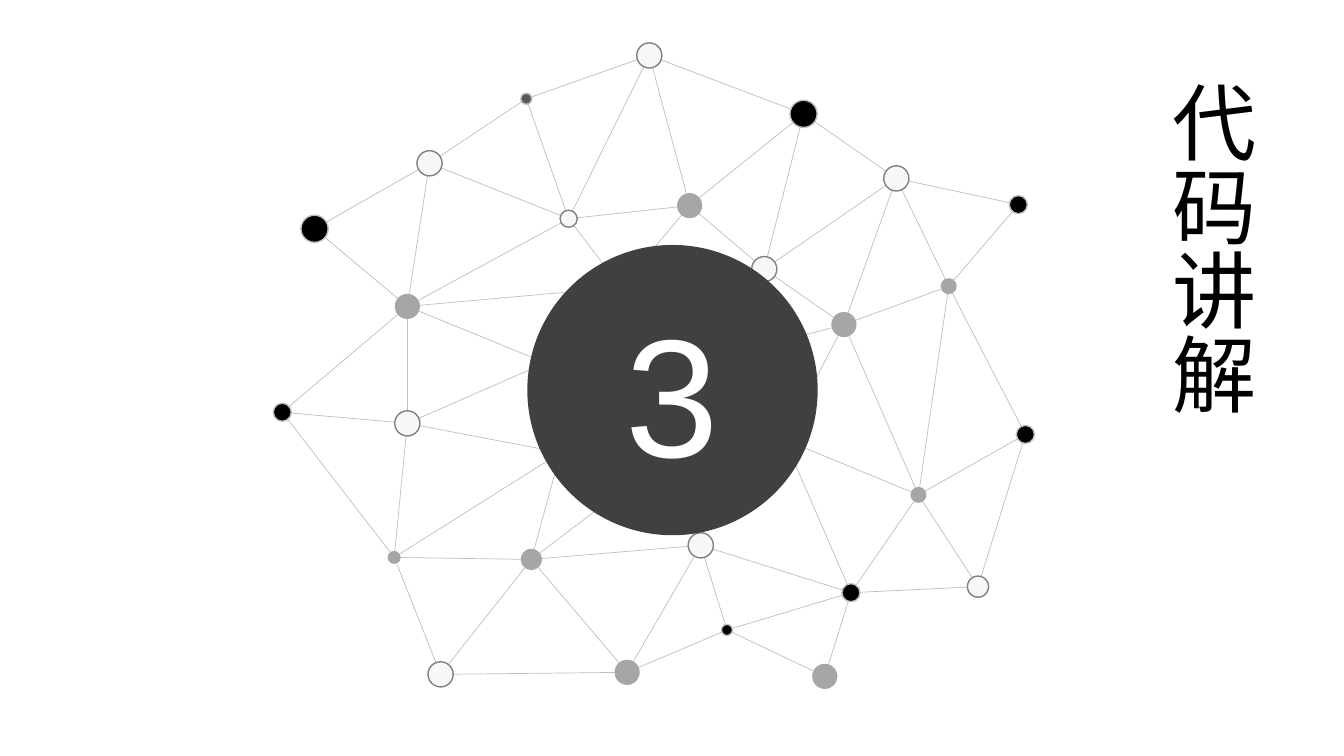
import math

import lxml.etree
import pptx
import pptx.dml.color
import pptx.enum.shapes
import pptx.enum.text
import pptx.oxml.ns
import pptx.util

PX = 9144
COLORS = {
    "black": "000000", "charcoal": "404040", "dark": "595959",
    "outline": "808080", "gray": "A6A6A6", "link": "BFBFBF",
    "pale": "F7F7F7", "white": "FFFFFF",
}


def color(name):
    return pptx.dml.color.RGBColor.from_string(COLORS[name])


def add_circle(center_x, center_y, size, fill, line=None):
    circle = page.shapes.add_shape(
        pptx.enum.shapes.MSO_SHAPE.OVAL,
        round((center_x - size / 2) * PX), round((center_y - size / 2) * PX),
        size * PX, size * PX)
    circle.shadow.inherit = False
    circle.fill.solid()
    circle.fill.fore_color.rgb = color(fill)
    if line:
        circle.line.color.rgb = color(line)
        circle.line.width = pptx.util.Pt(1)
    else:
        circle.line.fill.background()
    return circle


deck = pptx.Presentation()
deck.slide_width = 1333 * PX
deck.slide_height = 750 * PX
page = deck.slides.add_slide(deck.slide_layouts[6])

node_groups = [
    ("pale", "outline", 25, {
        "A": (404, 420), "B": (695, 541), "C": (644, 55), "E": (426, 162),
        "F": (758, 267), "G": (889, 177), "I": (437, 669)}),
    ("pale", "outline", 21, {"D": (970, 582)}),
    ("pale", "outline", 17, {"H": (564, 217)}),
    ("black", "link", 18, {
        "J": (280, 409), "K": (1017, 431), "N": (1010, 203), "O": (844, 588)}),
    ("black", "link", 27, {"L": (312, 227), "M": (797, 113)}),
    ("black", "link", 11, {"P": (721, 625)}),
    ("dark", "link", 11, {"Q": (522, 98)}),
    ("gray", None, 25, {
        "U": (684, 204), "V": (837, 322), "W": (404, 304), "Y": (818, 671),
        "Z": (622, 667)}),
    ("gray", None, 21, {"R": (527, 555)}),
    ("gray", None, 16, {"T": (911, 491), "X": (941, 284)}),
    ("gray", None, 13, {"S": (391, 553)}),
]
hub_anchors = {
    "a": (541, 360), "b": (556, 449), "c": (622, 483),
    "d": (680, 364), "e": (616, 285), "f": (778, 436),
}
links = (
    "JS SA Aa Rb TV SR cR XT KD DT LW EQ VF He CH MC MF GM LE CQ QH "
    "GN XN GX KT IZ IR IS fO fT TO DO YO RB PB PO BO ZR Ab JA WA Wa "
    "EW EH JW WH We MU CU HU eU FU GF XV GV Vf dV ZB ZP PY bS XK"
)

centers = dict(hub_anchors)
radii = dict.fromkeys(hub_anchors, 0)
for fill, line, size, nodes in node_groups:
    centers.update(nodes)
    radii.update(dict.fromkeys(nodes, size / 2))

for start, end in links.split():
    x1, y1 = centers[start]
    x2, y2 = centers[end]
    length = math.hypot(x2 - x1, y2 - y1)
    step_x, step_y = (x2 - x1) / length, (y2 - y1) / length
    link = page.shapes.add_connector(
        pptx.enum.shapes.MSO_CONNECTOR.STRAIGHT,
        round((x1 + step_x * radii[start]) * PX),
        round((y1 + step_y * radii[start]) * PX),
        round((x2 - step_x * radii[end]) * PX),
        round((y2 - step_y * radii[end]) * PX))
    link.line.color.rgb = color("link")
    link.line.width = pptx.util.Pt(0.5)
    lxml.etree.SubElement(link._element.spPr, pptx.oxml.ns.qn("a:effectLst"))

for fill, line, size, nodes in node_groups:
    for center_x, center_y in nodes.values():
        add_circle(center_x, center_y, size, fill, line)

hub = add_circle(667, 387, 288, "charcoal")
hub.text_frame.vertical_anchor = pptx.enum.text.MSO_ANCHOR.MIDDLE
para = hub.text_frame.paragraphs[0]
para.alignment = pptx.enum.text.PP_ALIGN.CENTER
span = para.add_run()
span.text = "3"
span.font.size = pptx.util.Pt(120)
span.font.name = "Arial"
span.font.color.rgb = color("white")

title = page.shapes.add_textbox(1136 * PX, 70 * PX, 121 * PX, 347 * PX)
title.text_frame.word_wrap = False
title.text_frame.auto_size = pptx.enum.text.MSO_AUTO_SIZE.SHAPE_TO_FIT_TEXT
title.text_frame._txBody.bodyPr.set("vert", "eaVert")
span = title.text_frame.paragraphs[0].add_run()
span.text = "代码讲解"
span.font.size = pptx.util.Pt(60)
span.font.name = "Noto Sans CJK SC"
span.font.color.rgb = color("black")
east_asian = lxml.etree.SubElement(span._r.get_or_add_rPr(), pptx.oxml.ns.qn("a:ea"))
east_asian.set("typeface", "Noto Sans CJK SC")

deck.save("out.pptx")
